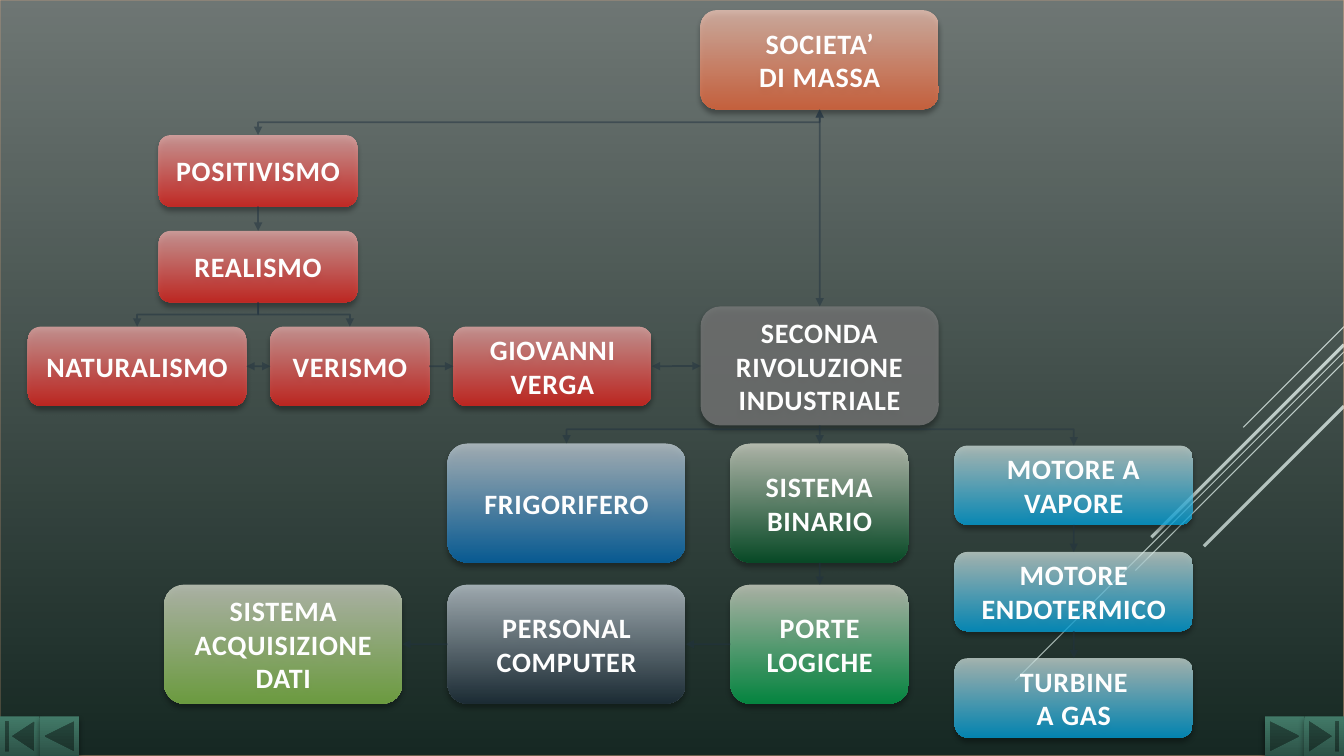
import pptx
import pptx.util
import pptx.dml.color
import pptx.enum.shapes
import pptx.enum.text
import pptx.oxml
import pptx.oxml.ns

RGBColor = pptx.dml.color.RGBColor
Inches, Cm, Pt = pptx.util.Inches, pptx.util.Cm, pptx.util.Pt
SHAPES = pptx.enum.shapes.MSO_SHAPE
CONNECTORS = pptx.enum.shapes.MSO_CONNECTOR
NAMESPACE = pptx.oxml.ns.nsdecls("a")
qn = pptx.oxml.ns.qn

BLACK = RGBColor(0x00, 0x00, 0x00)
WHITE = RGBColor(0xFF, 0xFF, 0xFF)
TEXT = RGBColor(0xFE, 0xFE, 0xFE)
NAVY = RGBColor(0x21, 0x32, 0x40)
RUST = RGBColor(0xAD, 0x2E, 0x03)
PEACH = RGBColor(0xFB, 0xB7, 0x8B)
MIST = RGBColor(0xDD, 0xED, 0xE8)
PINE = RGBColor(0x2C, 0x51, 0x46)
TEAL = RGBColor(0x42, 0x7A, 0x68)
SAGE = RGBColor(0xE7, 0xEB, 0xDB)
HAZE = RGBColor(0xD5, 0xE0, 0xE9)
GRAY = RGBColor(0x80, 0x80, 0x80)

# Themes: top colour, bottom colour, text outline
ORANGE = (RGBColor(0xFE, 0xCE, 0xBD), RGBColor(0xFC, 0x6B, 0x3A), RUST)
RED = (RGBColor(0xFD, 0xB5, 0xB3), RGBColor(0xF9, 0x21, 0x1B), RUST)
NEUTRAL = (GRAY, GRAY, BLACK)
CYAN = (MIST, RGBColor(0x00, 0xB0, 0xF0), NAVY)
BLUE = (HAZE, RGBColor(0x00, 0x70, 0xC0), NAVY)
DARK = (HAZE, NAVY, NAVY)
FOREST = (SAGE, RGBColor(0x00, 0x58, 0x28), NAVY)
GREEN = (SAGE, RGBColor(0x00, 0xB0, 0x50), NAVY)
LIME = (SAGE, RGBColor(0x92, 0xD0, 0x50), NAVY)

SLIDE_WIDTH, SLIDE_HEIGHT = 13.33, 7.5
# Column centres and row tops, in inches
LEFT, HUB, ENGINES, MACHINES = 2.56, 8.13, 10.65, 5.62
AUTHORS_ROW, MACHINES_ROW, DATA_ROW, ENGINES_ROW, ENGINE_STEP = 3.24, 4.4, 5.8, 4.42, 1.055
ELBOW_ROW = 4.26

# Boxes: key -> lines, centre, top, width and height in cm, theme
BOXES = {
    "society": (["SOCIETA’", "DI MASSA"], HUB, 0.1, 6, 2.5, ORANGE),
    "positivism": (["POSITIVISMO"], LEFT, 1.34, 5, 1.8, RED),
    "realism": (["REALISMO"], LEFT, 2.29, 5, 1.8, RED),
    "naturalism": (["NATURALISMO"], 1.36, AUTHORS_ROW, 5.5, 2, RED),
    "verism": (["VERISMO"], 3.47, AUTHORS_ROW, 4, 2, RED),
    "verga": (["GIOVANNI", "VERGA"], 5.48, AUTHORS_ROW, 5, 2, RED),
    "revolution": (["SECONDA RIVOLUZIONE INDUSTRIALE"], HUB, 3.04, 6, 3, NEUTRAL),
    "steam": (["MOTORE A VAPORE"], ENGINES, ENGINES_ROW, 6, 2, CYAN),
    "combustion": (["MOTORE", "ENDOTERMICO"], ENGINES, ENGINES_ROW + ENGINE_STEP, 6, 2, CYAN),
    "turbine": (["TURBINE", "A GAS"], ENGINES, ENGINES_ROW + 2 * ENGINE_STEP, 6, 2, CYAN),
    "fridge": (["FRIGORIFERO"], MACHINES, MACHINES_ROW, 6, 3, BLUE),
    "computer": (["PERSONAL", "COMPUTER"], MACHINES, DATA_ROW, 6, 3, DARK),
    "binary": (["SISTEMA BINARIO"], HUB, MACHINES_ROW, 4.5, 3, FOREST),
    "gates": (["PORTE", "LOGICHE"], HUB, DATA_ROW, 4.5, 3, GREEN),
    "acquisition": (["SISTEMA", "ACQUISIZIONE", "DATI"], 2.81, DATA_ROW, 6, 3, LIME),
}

# Links: from, side, to, side, arrow at both ends
TOP, WEST, BOTTOM, EAST = range(4)
STRAIGHT_LINKS = [
    ("steam", BOTTOM, "combustion", TOP, False),
    ("combustion", BOTTOM, "turbine", TOP, False),
    ("binary", BOTTOM, "gates", TOP, False),
    ("verga", EAST, "revolution", WEST, True),
    ("revolution", BOTTOM, "binary", TOP, False),
    ("positivism", BOTTOM, "realism", TOP, False),
    ("naturalism", EAST, "verism", WEST, True),
    ("verism", EAST, "verga", WEST, False),
    ("society", BOTTOM, "revolution", TOP, True),
    ("gates", WEST, "computer", EAST, False),
    ("computer", WEST, "acquisition", EAST, False),
]
BENT_LINKS = [
    ("society", BOTTOM, "positivism", TOP, True),
    ("realism", BOTTOM, "naturalism", TOP, False),
    ("realism", BOTTOM, "verism", TOP, False),
]
# Elbows from the hub: target box, opacity
ELBOWS = [("steam", 40), ("fridge", 50)]

# Diagonal streaks: start height on the right edge, length on each axis, weight
STREAKS = [(3.24, 1, 0.75), (3.49, 3.26, 0.75), (3.59, 2.07, 0.75),
           (3.42, 1.91, 2.25), (4.03, 1.39, 2.25)]

# Navigation buttons: shape, column counted in buttons (negative from the right)
BUTTONS = [(SHAPES.ACTION_BUTTON_BEGINNING, 0), (SHAPES.ACTION_BUTTON_BACK_OR_PREVIOUS, 1),
           (SHAPES.ACTION_BUTTON_FORWARD_OR_NEXT, -2), (SHAPES.ACTION_BUTTON_END, -1)]


def set_opacity(element, percent):
    for color in element.iter(qn("a:srgbClr")):
        color.append(pptx.oxml.parse_xml(f'<a:alpha {NAMESPACE} val="{percent * 1000}"/>'))


def paint(shape, top_color, bottom_color, opacity=100):
    shape.shadow.inherit = False
    if top_color == bottom_color:
        shape.fill.solid()
        shape.fill.fore_color.rgb = top_color
    else:
        shape.fill.gradient()
        shape.fill.gradient_angle = 270
        for stop, color in zip(shape.fill.gradient_stops, (top_color, bottom_color)):
            stop.color.rgb = color
    set_opacity(shape._element.spPr, opacity)
    shape.line.fill.background()


def add_shadow(shape):
    effects = shape._element.spPr.find(qn("a:effectLst"))
    effects.append(pptx.oxml.parse_xml(
        f'<a:outerShdw {NAMESPACE} blurRad="{Pt(4)}" dist="{Pt(3)}" dir="5400000" '
        f'rotWithShape="0"><a:srgbClr val="{BLACK}"><a:alpha val="46000"/></a:srgbClr></a:outerShdw>'))


def add_box(slide, lines, center, top, width, height, theme):
    top_color, bottom_color, outline = theme
    box = slide.shapes.add_shape(SHAPES.ROUNDED_RECTANGLE, Inches(center) - Cm(width) // 2,
                                 Inches(top), Cm(width), Cm(height))
    paint(box, top_color, bottom_color, 70)
    add_shadow(box)
    frame = box.text_frame
    frame.vertical_anchor = pptx.enum.text.MSO_ANCHOR.MIDDLE
    for index, line in enumerate(lines):
        paragraph = frame.add_paragraph() if index else frame.paragraphs[0]
        paragraph.alignment = pptx.enum.text.PP_ALIGN.CENTER
        run = paragraph.add_run()
        run.text = line
        run.font.name, run.font.size, run.font.bold = "Calibri", Pt(20), True
        run.font.color.rgb = TEXT
        properties = run._r.get_or_add_rPr()
        properties.set("spc", "50")
        properties.insert(0, pptx.oxml.parse_xml(
            f'<a:ln {NAMESPACE} w="{Pt(0.75)}"><a:solidFill><a:srgbClr val="{outline}"/>'
            '</a:solidFill></a:ln>'))
    return box


def style_line(connector, color, weight, opacity=100, ends=()):
    connector.line.color.rgb = color
    connector.line.width = Pt(weight)
    properties = connector._element.spPr
    set_opacity(properties, opacity)
    for end in ends:
        connector.line._get_or_add_ln().append(
            pptx.oxml.parse_xml(f'<a:{end} {NAMESPACE} type="triangle"/>'))
    properties.append(pptx.oxml.parse_xml(f'<a:effectLst {NAMESPACE}/>'))


def add_link(slide, boxes, kind, source, source_side, target, target_side, both):
    connector = slide.shapes.add_connector(kind, 0, 0, 0, 0)
    connector.begin_connect(boxes[source], source_side)
    connector.end_connect(boxes[target], target_side)
    style_line(connector, NAVY, 1.25, 50, ["headEnd", "tailEnd"] if both else ["tailEnd"])
    return connector


def turn_downwards(connector):
    """Make an elbow leave and arrive vertically, by a quarter turn about its centre."""
    rightwards = connector.end_x > connector.begin_x
    left, top, width, height = connector.left, connector.top, connector.width, connector.height
    connector.left = left + (width - height) // 2
    connector.top = top + (height - width) // 2
    connector.width, connector.height = height, width
    transform = connector._element.spPr.find(qn("a:xfrm"))
    transform.set("rot", "16200000" if rightwards else "5400000")
    transform.set("flipH", "1" if rightwards else "0")


def main():
    presentation = pptx.Presentation()
    presentation.slide_width, presentation.slide_height = Inches(SLIDE_WIDTH), Inches(SLIDE_HEIGHT)
    slide = presentation.slides.add_slide(presentation.slide_layouts[6])
    slide.background.fill.solid()
    slide.background.fill.fore_color.rgb = BLACK

    # Streaks under a translucent veil
    for start, length, weight in STREAKS:
        streak = slide.shapes.add_connector(
            CONNECTORS.STRAIGHT, Inches(SLIDE_WIDTH), Inches(start),
            Inches(SLIDE_WIDTH - length), Inches(start + length))
        style_line(streak, WHITE, weight)
    veil = slide.shapes.add_shape(SHAPES.RECTANGLE, 0, 0, Inches(SLIDE_WIDTH), Inches(SLIDE_HEIGHT))
    paint(veil, MIST, PINE, 50)
    veil.line.color.rgb = PEACH
    veil.line.width = Pt(0.75)
    set_opacity(veil.line._get_or_add_ln(), 60)

    # Concept boxes
    boxes = {key: add_box(slide, *box) for key, box in BOXES.items()}

    # Connectors
    for link in STRAIGHT_LINKS:
        add_link(slide, boxes, CONNECTORS.STRAIGHT, *link)
    for link in BENT_LINKS:
        turn_downwards(add_link(slide, boxes, CONNECTORS.ELBOW, *link))
    for target, opacity in ELBOWS:
        box = boxes[target]
        elbow = slide.shapes.add_connector(CONNECTORS.ELBOW, Inches(HUB), Inches(ELBOW_ROW),
                                           box.left + box.width // 2, box.top)
        elbow._element.spPr.find(qn("a:prstGeom")).set("prst", "bentConnector2")
        style_line(elbow, NAVY, 1.25, opacity, ["tailEnd"])

    # Navigation buttons
    side = Cm(1)
    for kind, column in BUTTONS:
        left = column * side + (presentation.slide_width if column < 0 else 0)
        button = slide.shapes.add_shape(kind, left, presentation.slide_height - side, side, side)
        paint(button, TEAL, PINE)
        add_shadow(button)

    presentation.save("out.pptx")


if __name__ == "__main__":
    main()
